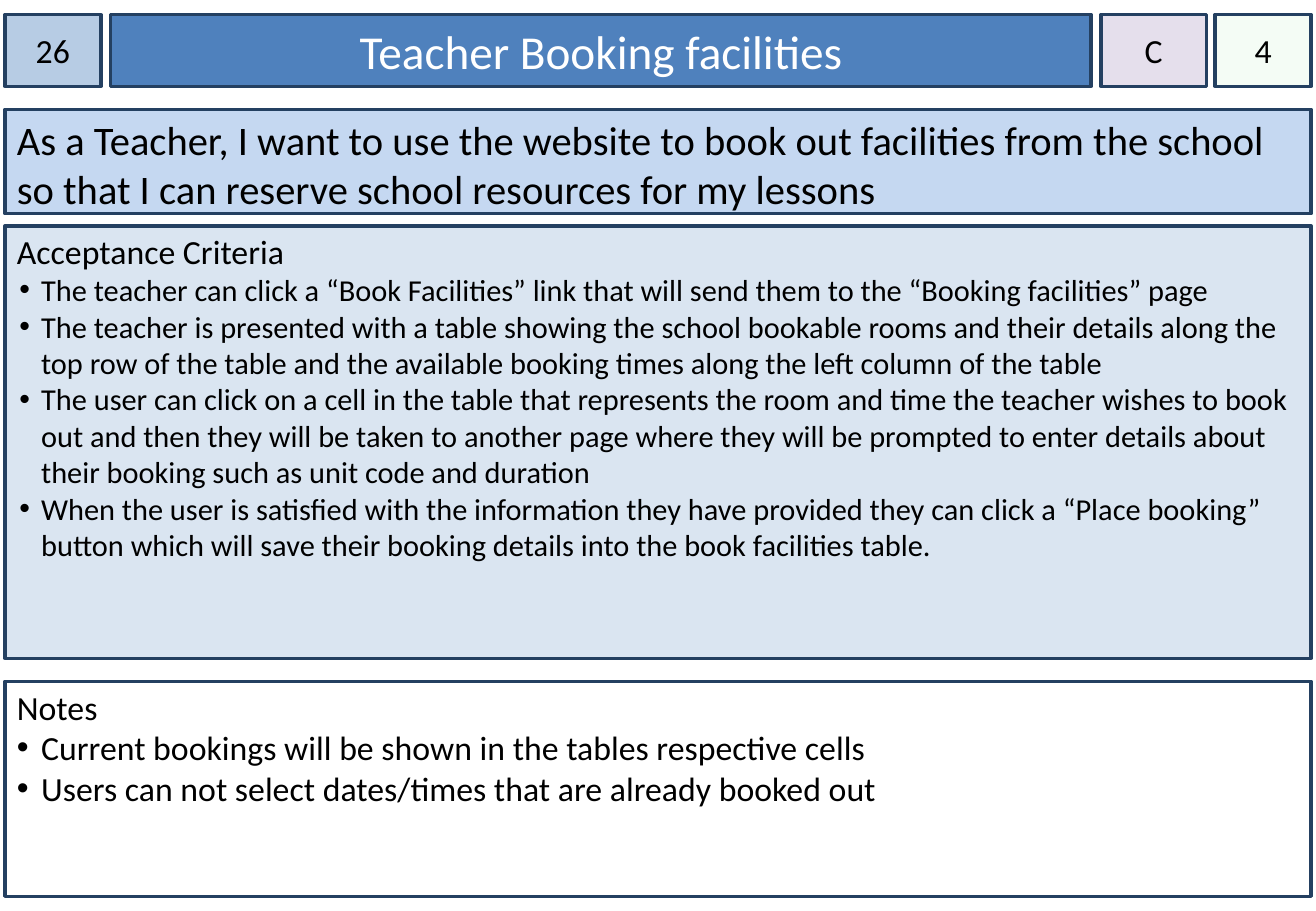
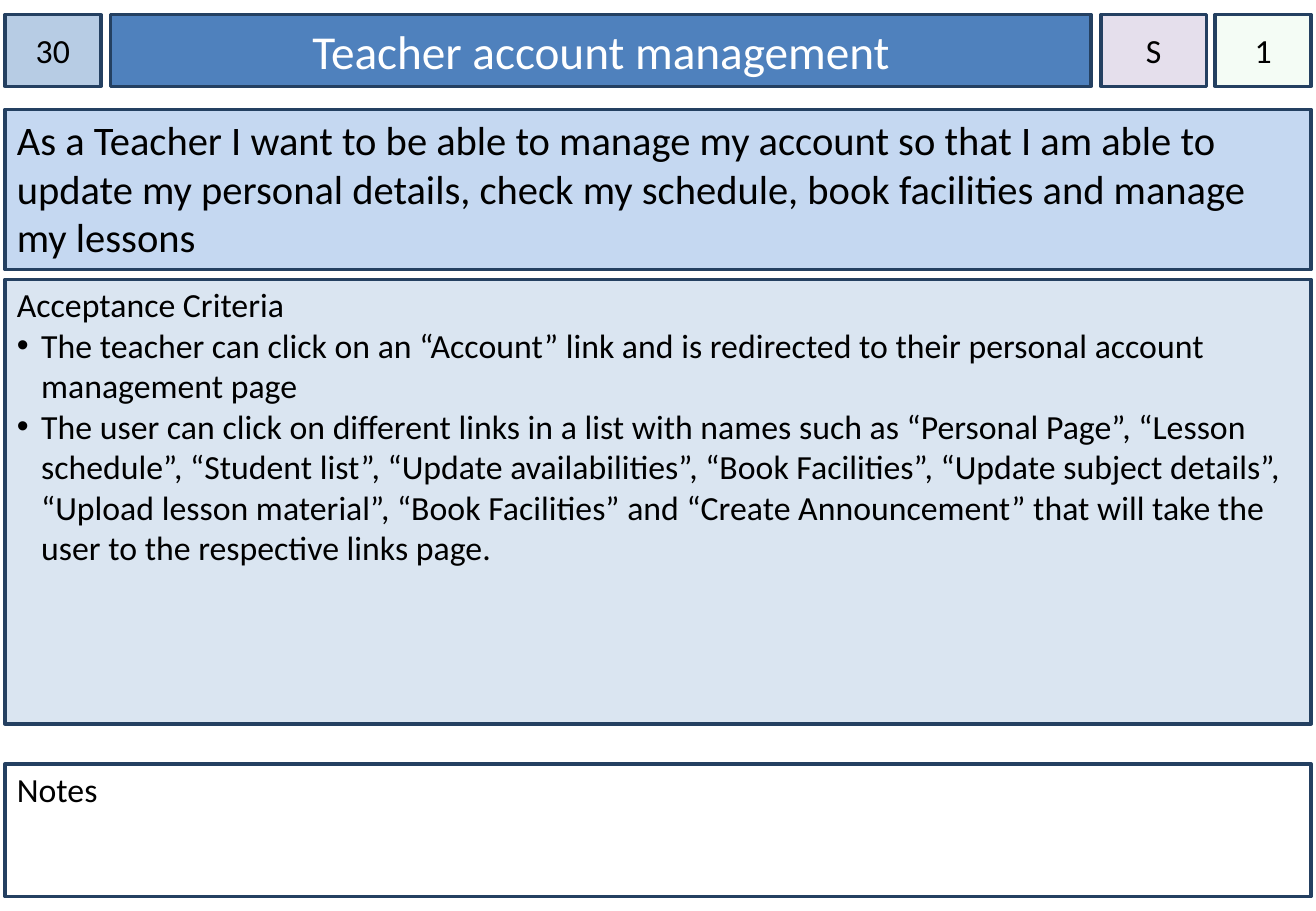
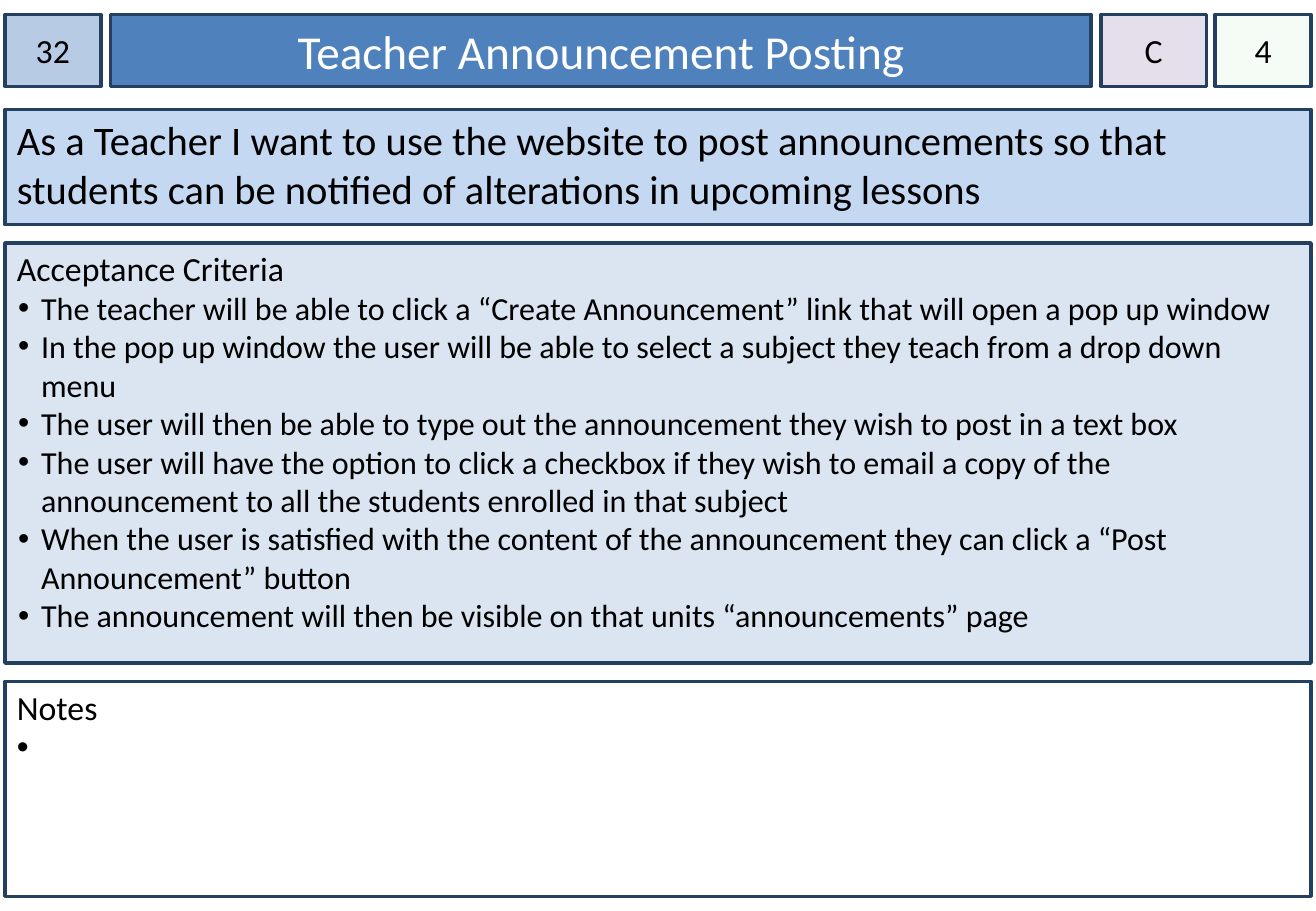
from dataclasses import dataclass

from lxml import etree
from pptx import Presentation
from pptx.dml.color import RGBColor
from pptx.enum.shapes import MSO_SHAPE
from pptx.enum.text import MSO_ANCHOR, PP_ALIGN
from pptx.oxml.ns import qn
from pptx.util import Inches, Pt

RECTANGLE = MSO_SHAPE.RECTANGLE
TOP, MIDDLE = MSO_ANCHOR.TOP, MSO_ANCHOR.MIDDLE
LEFT, CENTER = PP_ALIGN.LEFT, PP_ALIGN.CENTER


@dataclass(frozen=True)
class Theme:
    font: str = "Calibri"
    text: str = "000000"
    title_text: str = "FFFFFF"
    outline: str = "244061"
    number_fill: str = "B7CCE4"
    title_fill: str = "4F81BD"
    priority_fill: str = "E5DFEC"
    points_fill: str = "CCF0CD"
    points_opacity: int = 20
    story_fill: str = "C5D8F1"
    criteria_fill: str = "DAE5F1"
    remarks_fill: str = "FFFFFF"
    title_size: int = 28
    story_size: int = 24
    body_size: int = 20
    outline_width: int = 2


THEME = Theme()
MARGIN, CONTENT_WIDTH = 0.04, 10.75
HEADER_TOP, HEADER_HEIGHT = 0.12, 0.59
STORY_TOP, REMARKS_BOTTOM = 0.9, 7.38
BULLET_INDENT = 0.2


@dataclass(frozen=True)
class StoryCard:
    number: str
    title: str
    priority: str
    points: str
    story: str
    criteria: tuple
    remarks: tuple
    story_height: float
    criteria_top: float
    criteria_height: float
    remarks_top: float
    criteria_size: int = THEME.body_size


CARDS = (
    StoryCard(
        number="26", title="Teacher Booking facilities", priority="C", points="4",
        story="As a Teacher, I want to use the website to book out facilities from the "
              "school so that I can reserve school resources for my lessons",
        criteria=(
            "The teacher can click a “Book Facilities” link that will send them to the "
            "“Booking facilities” page",
            "The teacher is presented with a table showing the school bookable rooms and "
            "their details along the top row of the table and the available booking times "
            "along the left column of the table",
            "The user can click on a cell in the table that represents the room and time "
            "the teacher wishes to book out and then they will be taken to another page "
            "where they will be prompted to enter details about their booking such as "
            "unit code and duration",
            "When the user is satisfied with the information they have provided they can "
            "click a “Place booking” button which will save their booking details into "
            "the book facilities table.",
        ),
        remarks=(
            "Current bookings will be shown in the tables respective cells",
            "Users can not select dates/times that are already booked out",
        ),
        story_height=0.86, criteria_top=1.86, criteria_height=3.56, remarks_top=5.61,
        criteria_size=18,
    ),
    StoryCard(
        number="30", title="Teacher account management", priority="S", points="1",
        story="As a Teacher I want to be able to manage my account so that I am able to "
              "update my personal details, check my schedule, book facilities and manage "
              "my lessons",
        criteria=(
            "The teacher can click on an “Account” link and is redirected to their "
            "personal account management page",
            "The user can click on different links in a list with names such as "
            "“Personal Page”, “Lesson schedule”, “Student list”, “Update availabilities”, "
            "“Book Facilities”, “Update subject details”, “Upload lesson material”, "
            "“Book Facilities” and “Create Announcement” that will take the user to the "
            "respective links page.",
        ),
        remarks=(),
        story_height=1.32, criteria_top=2.3, criteria_height=3.66, remarks_top=6.29,
    ),
    StoryCard(
        number="32", title="Teacher Announcement Posting", priority="C", points="4",
        story="As a Teacher I want to use the website to post announcements so that "
              "students can be notified of alterations in upcoming lessons",
        criteria=(
            "The teacher will be able to click a “Create Announcement” link that will "
            "open a pop up window",
            "In the pop up window the user will be able to select a subject they teach "
            "from a drop down menu",
            "The user will then be able to type out the announcement they wish to post "
            "in a text box",
            "The user will have the option to click a checkbox if they wish to email a "
            "copy of the announcement to all the students enrolled in that subject",
            "When the user is satisfied with the content of the announcement they can "
            "click a “Post Announcement” button",
            "The announcement will then be visible on that units “announcements” page",
        ),
        remarks=(" ",),
        story_height=0.95, criteria_top=2, criteria_height=3.46, remarks_top=5.61,
        criteria_size=19,
    ),
)


def add_box(slide, left, top, width, height, fill, *, opacity=100,
            anchor=TOP, side_inset=0.1, top_inset=0.05):
    shape = slide.shapes.add_shape(
        RECTANGLE, Inches(left), Inches(top), Inches(width), Inches(height))
    shape.shadow.inherit = False
    shape.fill.solid()
    shape.fill.fore_color.rgb = RGBColor.from_string(fill)
    if opacity < 100:
        color = shape.element.spPr.find(f"{qn('a:solidFill')}/{qn('a:srgbClr')}")
        etree.SubElement(color, qn("a:alpha"), val=str(opacity * 1000))
    shape.line.color.rgb = RGBColor.from_string(THEME.outline)
    shape.line.width = Pt(THEME.outline_width)
    frame = shape.text_frame
    frame.word_wrap = True
    frame.vertical_anchor = anchor
    frame.margin_left = frame.margin_right = Inches(side_inset)
    frame.margin_top, frame.margin_bottom = Inches(top_inset), Inches(0.05)
    return frame


def set_bullet(paragraph, size):
    properties = paragraph._p.get_or_add_pPr()
    properties.set("marL", str(Inches(BULLET_INDENT)))
    properties.set("indent", str(-Inches(size / 100)))
    color = etree.SubElement(properties, qn("a:buClr"))
    etree.SubElement(color, qn("a:srgbClr"), val=THEME.text)
    etree.SubElement(properties, qn("a:buFont"), typeface="Arial")
    etree.SubElement(properties, qn("a:buChar"), char="•")


def write(paragraph, text, *, size=THEME.body_size, color=THEME.text,
          align=LEFT, bullet=False):
    paragraph.alignment = align
    if bullet:
        set_bullet(paragraph, size)
    run = paragraph.add_run()
    run.text = text
    run.font.name = THEME.font
    run.font.size = Pt(size)
    run.font.color.rgb = RGBColor.from_string(color)


def add_header_cell(slide, text, left, width, fill, *, opacity=100, side_inset=0,
                    size=THEME.body_size, color=THEME.text):
    frame = add_box(slide, left, HEADER_TOP, width, HEADER_HEIGHT, fill,
                    opacity=opacity, anchor=MIDDLE, side_inset=side_inset)
    write(frame.paragraphs[0], text, size=size, color=color, align=CENTER)


def add_header(slide, card):
    add_header_cell(slide, card.number, MARGIN, 0.79, THEME.number_fill)
    add_header_cell(slide, card.title, 0.91, 8.07, THEME.title_fill, side_inset=0.1,
                    size=THEME.title_size, color=THEME.title_text)
    add_header_cell(slide, card.priority, 9.06, 0.87, THEME.priority_fill)
    add_header_cell(slide, card.points, 10, 0.79, THEME.points_fill,
                    opacity=THEME.points_opacity)


def add_story(slide, card):
    frame = add_box(slide, MARGIN, STORY_TOP, CONTENT_WIDTH, card.story_height,
                    THEME.story_fill)
    write(frame.paragraphs[0], card.story, size=THEME.story_size)


def add_list_panel(slide, heading, items, top, height, fill, size=THEME.body_size):
    frame = add_box(slide, MARGIN, top, CONTENT_WIDTH, height, fill, top_inset=0.04)
    write(frame.paragraphs[0], heading)
    for item in items:
        write(frame.add_paragraph(), item, size=size, bullet=True)


def add_card(presentation, card):
    slide = presentation.slides.add_slide(presentation.slide_layouts[6])
    add_header(slide, card)
    add_story(slide, card)
    add_list_panel(slide, "Acceptance Criteria", card.criteria, card.criteria_top,
                   card.criteria_height, THEME.criteria_fill, card.criteria_size)
    add_list_panel(slide, "Notes", card.remarks, card.remarks_top,
                   REMARKS_BOTTOM - card.remarks_top, THEME.remarks_fill)


def main():
    presentation = Presentation()
    presentation.slide_width = Inches(10.83)
    presentation.slide_height = Inches(7.5)
    for card in CARDS:
        add_card(presentation, card)
    presentation.save("out.pptx")


main()
